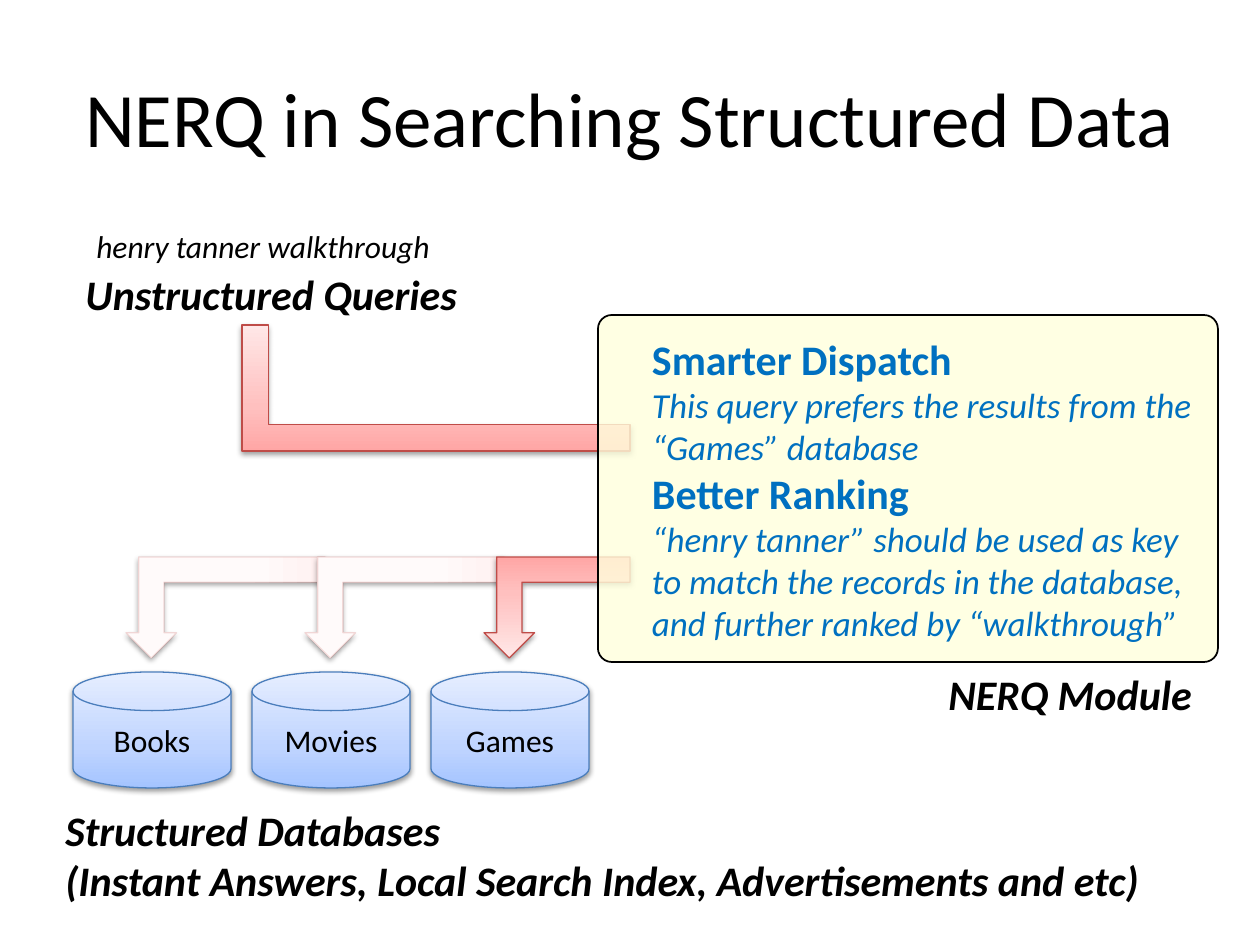
import pptx
import pptx.util
import pptx.dml.color
import pptx.enum.shapes
import pptx.enum.text
import pptx.oxml
import pptx.oxml.ns

SHAPE = pptx.enum.shapes.MSO_SHAPE
ALIGN = pptx.enum.text.PP_ALIGN
ANCHOR = pptx.enum.text.MSO_ANCHOR
EMU_PER_PX = 914400 / 126

# Content
TITLE = "NERQ in Searching Structured Data"
DATABASES = ["Books", "Movies", "Games"]
# text, box, size, bold, wrap
LABELS = [
    ("henry tanner walkthrough", (84, 221, 367, 50), 18, False, False),
    ("Unstructured Queries", (73, 262, 441, 63), 24, True, True),
    ("Structured Databases\n(Instant Answers, Local Search Index, Advertisements and etc)",
     (53, 798, 1144, 115), 24, True, True),
    ("NERQ Module", (936, 662, 281, 63), 24, True, True),
]
# heading, explanation
MODULE_POINTS = [
    ("Smarter Dispatch",
     "This query prefers the results from the “Games” database"),
    ("Better Ranking",
     "“henry tanner” should be used as key to match the records in the database, "
     "and further ranked by “walkthrough”"),
]

# Gradient stops at 0, 35 and 100 percent
BLUE = ("A4C4FF", "BFD4FF", "E6EEFF")
RED = ("FFA6A5", "FFC0BF", "FFE7E7")
PALE = ("FFF0F0", "FFFAFA", "FFFAFA")
RED_LINE, BLUE_LINE, TEXT_BLUE = "BF4C48", "4B7EBC", "0070C0"

# Layout in px
DISK_LEFT, DISK_STEP, DISK_TOP, DISK_WIDTH, DISK_HEIGHT = 73, 179, 672, 158, 116
ARROW_LEFT, ARROW_TOP, ARROW_HEIGHT = 126, 557, 101
ARROW_RIGHTS = (325, 504, 630)


def px(value):
    return pptx.util.Emu(round(value * EMU_PER_PX))


def color(hex_string):
    return pptx.dml.color.RGBColor.from_string(hex_string)


def xml(text):
    return pptx.oxml.parse_xml(
        text.replace(">", " " + pptx.oxml.ns.nsdecls("a") + ">", 1))


def style_font(font, size, hex_string="000000", bold=False, italic=False):
    font.name, font.size = "Calibri", pptx.util.Pt(size)
    font.bold, font.italic = bold, italic
    font.color.rgb = color(hex_string)


def set_alpha(fill, percent):
    choice = fill.fore_color._xFill.find(".//" + pptx.oxml.ns.qn("a:srgbClr"))
    choice.append(xml(f'<a:alpha val="{percent * 1000}"></a:alpha>'))


def add_shape(slide, kind, box, line, width, adjustments=()):
    shape = slide.shapes.add_shape(kind, *map(px, box))
    for index, value in enumerate(adjustments):
        shape.adjustments[index] = value
    shape.shadow.inherit = False
    shape.line.color.rgb = color(line)
    shape.line.width = pptx.util.Pt(width)
    return shape


def add_glossy(slide, kind, box, stops, line, adjustments=(), angle=270):
    shape = add_shape(slide, kind, box, line, 0.75, adjustments)
    properties = shape._element.spPr
    stop_xml = "".join(
        f'<a:gs pos="{position}000"><a:srgbClr val="{stop}"/></a:gs>'
        for position, stop in zip((0, 35, 100), stops))
    properties.find(pptx.oxml.ns.qn("a:prstGeom")).addnext(xml(
        f'<a:gradFill rotWithShape="1"><a:gsLst>{stop_xml}</a:gsLst>'
        f'<a:lin ang="{angle * 60000}" scaled="0"/></a:gradFill>'))
    properties.find(pptx.oxml.ns.qn("a:effectLst")).append(xml(
        '<a:outerShdw blurRad="40000" dist="20000" dir="5400000" rotWithShape="0">'
        '<a:srgbClr val="000000"><a:alpha val="38000"/></a:srgbClr></a:outerShdw>'))
    return shape


def add_arrow(slide, index, stops, angle):
    left = ARROW_LEFT + index * DISK_STEP
    box = (left, ARROW_TOP, ARROW_RIGHTS[index] - left, ARROW_HEIGHT)
    arrow = add_glossy(slide, SHAPE.BENT_UP_ARROW, box, stops, RED_LINE,
                       (0.25, 0.25, 0.25), angle)
    arrow.rotation = 180
    return arrow


def add_disk(slide, index, name):
    box = (DISK_LEFT + index * DISK_STEP, DISK_TOP, DISK_WIDTH, DISK_HEIGHT)
    disk = add_glossy(slide, SHAPE.FLOWCHART_MAGNETIC_DISK, box, BLUE, BLUE_LINE)
    disk.text_frame.text = name
    disk.text_frame.vertical_anchor = ANCHOR.MIDDLE
    paragraph = disk.text_frame.paragraphs[0]
    paragraph.alignment = ALIGN.CENTER
    style_font(paragraph.runs[0].font, 18)


def add_label(slide, text, box, size, bold, wrap):
    frame = slide.shapes.add_textbox(*map(px, box)).text_frame
    frame.word_wrap = wrap
    frame.text = text
    for paragraph in frame.paragraphs:
        style_font(paragraph.runs[0].font, size, bold=bold, italic=True)


def add_module(slide):
    module = add_shape(slide, SHAPE.ROUNDED_RECTANGLE, (598, 315, 620, 347),
                       "000000", 1, (0.04,))
    module.fill.solid()
    module.fill.fore_color.rgb = color("FFFFDC")
    set_alpha(module.fill, 80)
    frame = module.text_frame
    frame.word_wrap = True
    frame.vertical_anchor = ANCHOR.MIDDLE
    frame.margin_left = px(50)
    frame.margin_right = frame.margin_top = frame.margin_bottom = px(6)
    frame.text = "\n".join(text for point in MODULE_POINTS for text in point)
    for index, paragraph in enumerate(frame.paragraphs):
        heading = index % 2 == 0
        paragraph.alignment = ALIGN.LEFT
        style_font(paragraph.runs[0].font, 24 if heading else 20, TEXT_BLUE,
                   bold=heading, italic=not heading)


def main():
    presentation = pptx.Presentation()
    presentation.slide_width, presentation.slide_height = px(1260), px(945)
    slide = presentation.slides.add_slide(presentation.slide_layouts[5])

    # Title
    title = slide.shapes.title
    title.left, title.top, title.width, title.height = map(px, (63, 38, 1134, 157))
    title.text_frame.text = TITLE
    title.text_frame.vertical_anchor = ANCHOR.MIDDLE
    title.text_frame.paragraphs[0].alignment = ALIGN.CENTER
    style_font(title.text_frame.paragraphs[0].runs[0].font, 44)

    # Faded paths to the databases that are not preferred
    for index in (0, 1):
        set_alpha(add_arrow(slide, index, PALE, 0).line.fill, 18)

    # Databases and labels
    for index, name in enumerate(DATABASES):
        add_disk(slide, index, name)
    for label in LABELS:
        add_label(slide, *label)

    # Query path into the module and on to the chosen database
    add_glossy(slide, SHAPE.CORNER, (242, 325, 388, 126), RED, RED_LINE, (0.21, 0.21))
    add_arrow(slide, 2, RED, 270)
    add_module(slide)

    presentation.save("out.pptx")


if __name__ == "__main__":
    main()
